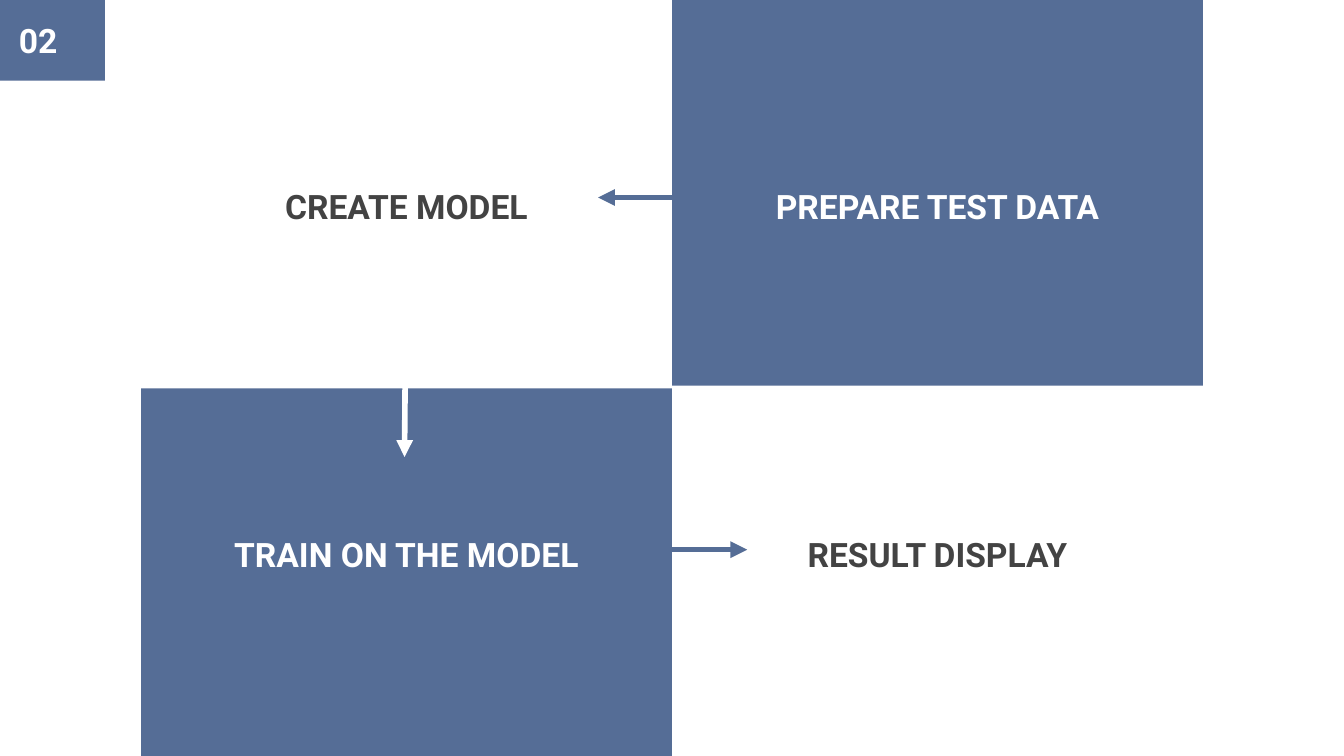
from lxml import etree
from pptx import Presentation
from pptx.dml.color import RGBColor
from pptx.enum.shapes import MSO_CONNECTOR, MSO_SHAPE
from pptx.enum.text import MSO_ANCHOR, MSO_AUTO_SIZE, PP_ALIGN
from pptx.oxml.ns import qn
from pptx.util import Inches, Pt

BLUE = RGBColor(0x55, 0x6D, 0x96)
WHITE = RGBColor(0xFF, 0xFF, 0xFF)
GRAY = RGBColor(0x43, 0x43, 0x43)
RECTANGLE = MSO_SHAPE.RECTANGLE
STRAIGHT = MSO_CONNECTOR.STRAIGHT
BOTTOM, MIDDLE = MSO_ANCHOR.BOTTOM, MSO_ANCHOR.MIDDLE
CENTER, LEFT = PP_ALIGN.CENTER, PP_ALIGN.LEFT
NO_AUTOFIT = MSO_AUTO_SIZE.NONE

SLIDE_W = 10
SLIDE_H = SLIDE_W * 9 / 16
SECTION_NUMBER = "02"
STEPS = [
    ("CREATE MODEL", 0, 0, None, GRAY),
    ("PREPARE TEST DATA", 1, 0, BLUE, WHITE),
    ("TRAIN ON THE MODEL", 0, 1, BLUE, WHITE),
    ("RESULT DISPLAY", 1, 1, WHITE, GRAY),
]
ARROWS = [
    ((3.02, 2.2), (3.01, 3.4), WHITE),
    ((4.63, 4.09), (5.56, 4.09), BLUE),
    ((5.38, 1.47), (4.45, 1.47), BLUE),
]

COLUMN_W = 3.95
COLUMN_LEFTS = [SLIDE_W / 2 - COLUMN_W, SLIDE_W / 2]
ROWS = [(-0.01, 2.88), (2.89, 2.75)]
LABEL_TOPS = [1.07, 3.66]
LABEL_W, LABEL_H = 3.2, 0.71


def box(left, top, width, height):
    return [Inches(length) for length in (left, top, width, height)]


def add_block(slide, area, color):
    block = slide.shapes.add_shape(RECTANGLE, *area)
    block.shadow.inherit = False
    block.fill.solid()
    block.fill.fore_color.rgb = color
    block.line.fill.background()


def write(holder, text, color, anchor, alignment):
    frame = holder.text_frame
    frame.text = text
    frame.word_wrap = True
    frame.auto_size = NO_AUTOFIT
    frame.vertical_anchor = anchor
    frame.margin_left = frame.margin_right = Inches(0.1)
    frame.margin_top = frame.margin_bottom = Inches(0.1)
    paragraph = frame.paragraphs[0]
    paragraph.alignment = alignment
    paragraph.line_spacing = 1.0
    font = paragraph.runs[0].font
    font.name, font.size, font.bold = "Roboto", Pt(18), True
    font.color.rgb = color


def add_arrow(slide, start, end, color):
    arrow = slide.shapes.add_connector(
        STRAIGHT, *[Inches(length) for length in start + end])
    arrow.line.color.rgb = color
    arrow.line.width = Pt(3)
    line = arrow._element.spPr.find(qn("a:ln"))
    etree.SubElement(line, qn("a:tailEnd"), type="triangle")
    etree.SubElement(arrow._element.spPr, qn("a:effectLst"))


def main():
    deck = Presentation()
    deck.slide_width, deck.slide_height = Inches(SLIDE_W), Inches(SLIDE_H)
    slide = deck.slides.add_slide(deck.slide_layouts[5])

    for text, column, row, fill, color in STEPS:
        left = COLUMN_LEFTS[column]
        top, height = ROWS[row]
        if fill is not None:
            add_block(slide, box(left, top, COLUMN_W, height), fill)
        label = slide.shapes.add_textbox(*box(
            left + (COLUMN_W - LABEL_W) / 2, LABEL_TOPS[row], LABEL_W, LABEL_H))
        write(label, text, color, BOTTOM, CENTER)

    add_block(slide, box(0, 0, 0.78, 0.6), BLUE)
    number = slide.shapes.title
    number.left, number.top, number.width, number.height = box(0.04, 0.05, 0.7, 0.5)
    write(number, SECTION_NUMBER, WHITE, MIDDLE, LEFT)
    slide.shapes._spTree.append(number._element)

    for start, end, color in ARROWS:
        add_arrow(slide, start, end, color)

    deck.save("out.pptx")


if __name__ == "__main__":
    main()
